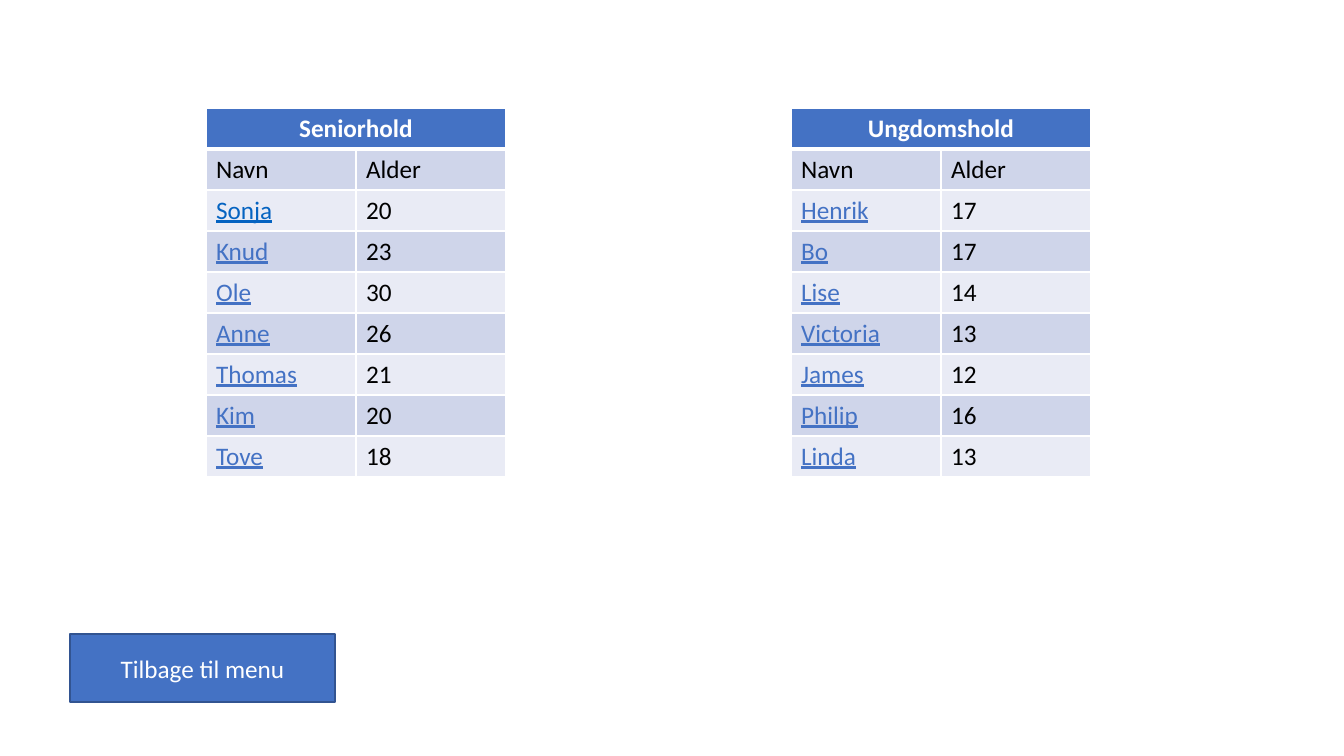
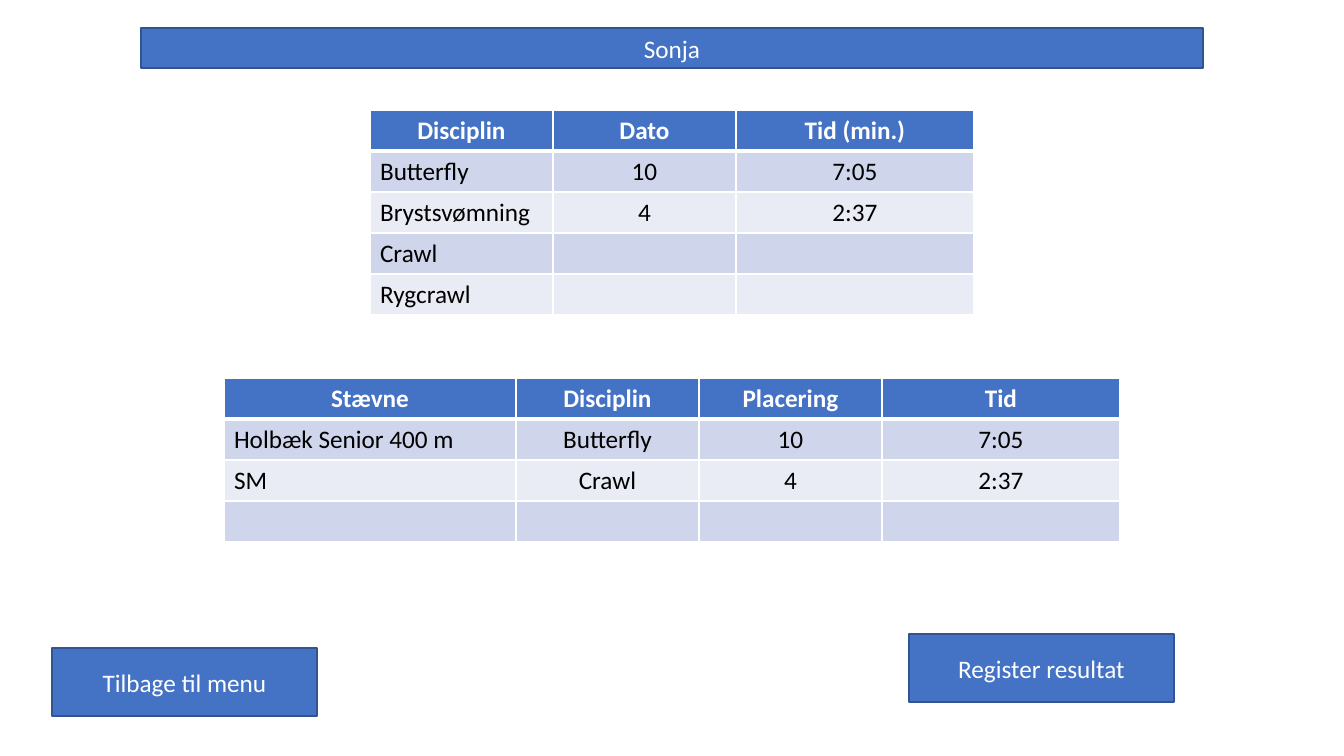
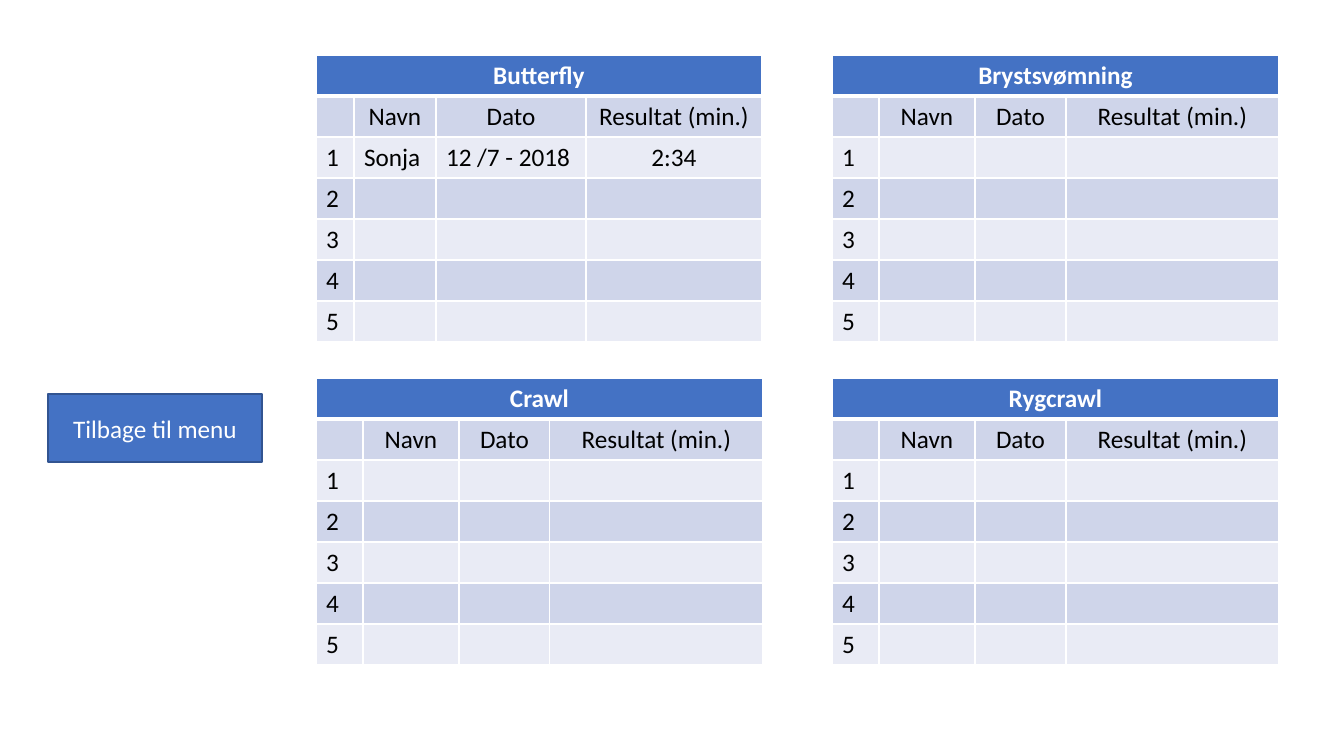
"""Build three swimming club slides with team, swimmer and ranking tables."""
from lxml.etree import SubElement
from pptx import Presentation
from pptx.dml.color import RGBColor
from pptx.enum.shapes import MSO_SHAPE
from pptx.enum.text import MSO_ANCHOR, PP_ALIGN
from pptx.oxml.ns import qn
from pptx.util import Pt

PIXEL = 9071
ROW_HEIGHT = 41
BLUE, EDGE, LINK = "4472C4", "325491", "0563C1"
WHITE, BLACK = "FFFFFF", "000000"
BANDS = ["E9EBF5", "CFD5EA"]

deck = Presentation()
deck.slide_width, deck.slide_height = 1344 * PIXEL, 756 * PIXEL
team_page, swimmer_page, ranking_page = [
    deck.slides.add_slide(deck.slide_layouts[6]) for _ in range(3)]


def write_text(frame, text, colour, centred=False, bold=False):
    """Put one line of text in a frame in the shared type style."""
    para = frame.paragraphs[0]
    para.text = text
    para.alignment = PP_ALIGN.CENTER if centred else PP_ALIGN.LEFT
    for span in para.runs:
        span.font.name = "Calibri"
        span.font.size = Pt(18)
        span.font.bold = bold
        span.font.color.rgb = RGBColor.from_string(colour)


def add_grid(page, left, top, widths, rows, centre_from=1):
    """Add a banded table; a lone heading spans all its columns."""
    table = page.shapes.add_table(
        len(rows), len(widths), left * PIXEL, top * PIXEL,
        sum(widths) * PIXEL, len(rows) * ROW_HEIGHT * PIXEL).table
    for column, width in zip(table.columns, widths):
        column.width = width * PIXEL
    for row, values in enumerate(rows):
        table.rows[row].height = ROW_HEIGHT * PIXEL
        heading = row == 0
        for column in range(len(widths)):
            cell = table.cell(row, column)
            properties = cell._tc.get_or_add_tcPr()
            for side in "LRTB":
                thick = (row, side) in [(0, "B"), (1, "T")]
                line = SubElement(properties, qn(f"a:ln{side}"), w=str(Pt(3 if thick else 1)))
                SubElement(SubElement(line, qn("a:solidFill")), qn("a:srgbClr"), val=WHITE)
            cell.fill.solid()
            cell.fill.fore_color.rgb = RGBColor.from_string(BLUE if heading else BANDS[row % 2])
            if column < len(values) and values[column]:
                write_text(cell.text_frame, values[column], WHITE if heading else BLACK,
                           heading or column >= centre_from, heading)
    if len(rows[0]) == 1:
        table.cell(0, 0).merge(table.cell(0, len(widths) - 1))
    return table


teams = [
    (206, "Seniorhold", [("Sonja", "20"), ("Knud", "23"), ("Ole", "30"), ("Anne", "26"),
                         ("Thomas", "21"), ("Kim", "20"), ("Tove", "18")]),
    (791, "Ungdomshold", [("Henrik", "17"), ("Bo", "17"), ("Lise", "14"), ("Victoria", "13"),
                          ("James", "12"), ("Philip", "16"), ("Linda", "13")]),
]
for left, team, members in teams:
    table = add_grid(team_page, left, 108, [150, 150],
                     [[team], ["Navn", "Alder"], *members], centre_from=2)
    for row, (name, age) in enumerate(members, 2):
        font = table.cell(row, 0).text_frame.paragraphs[0].runs[0].font
        font.underline = True
        font.color.rgb = RGBColor.from_string(LINK if name == "Sonja" else BLUE)

add_grid(swimmer_page, 224, 378, [292, 183, 183, 238], [
    ["Stævne", "Disciplin", "Placering", "Tid"],
    ["Holbæk Senior 400 m", "Butterfly", "10", "7:05"],
    ["SM", "Crawl", "4", "2:37"],
    [],
])
add_grid(swimmer_page, 370, 110, [183, 183, 238], [
    ["Disciplin", "Dato", "Tid (min.)"],
    ["Butterfly", "10", "7:05"],
    ["Brystsvømning", "4", "2:37"],
    ["Crawl"],
    ["Rygcrawl"],
])

wide_dates, narrow_dates = [38, 82, 150, 176], [47, 96, 91, 213]
rankings = [
    (316, 55, wide_dates, "Butterfly", ["Sonja", "12 /7 - 2018", "2:34"]),
    (832, 55, narrow_dates, "Brystsvømning", []),
    (832, 378, narrow_dates, "Rygcrawl", []),
    (316, 378, narrow_dates, "Crawl", []),
]
for left, top, widths, discipline, best in rankings:
    table = add_grid(ranking_page, left, top, widths, [
        [discipline], ["", "Navn", "Dato", "Resultat (min.)"],
        ["1", *best], *[[str(place)] for place in range(2, 6)]])
    for column in (1, 2):
        table.cell(2, column).text_frame.paragraphs[0].alignment = PP_ALIGN.LEFT

buttons = [
    (team_page, 70, 634, 265, 68, "Tilbage til menu"),
    (swimmer_page, 52, 648, 265, 68, "Tilbage til menu"),
    (swimmer_page, 141, 28, 1062, 40, "Sonja"),
    (swimmer_page, 909, 634, 265, 68, "Register resultat"),
    (ranking_page, 48, 394, 214, 68, "Tilbage til menu"),
]
for page, left, top, width, height, label in buttons:
    box = page.shapes.add_shape(MSO_SHAPE.RECTANGLE, left * PIXEL, top * PIXEL,
                                width * PIXEL, height * PIXEL)
    box.shadow.inherit = False
    box.fill.solid()
    box.fill.fore_color.rgb = RGBColor.from_string(BLUE)
    box.line.color.rgb = RGBColor.from_string(EDGE)
    box.line.width = Pt(1)
    box.text_frame.vertical_anchor = MSO_ANCHOR.MIDDLE
    write_text(box.text_frame, label, WHITE, centred=True)

deck.save("out.pptx")
